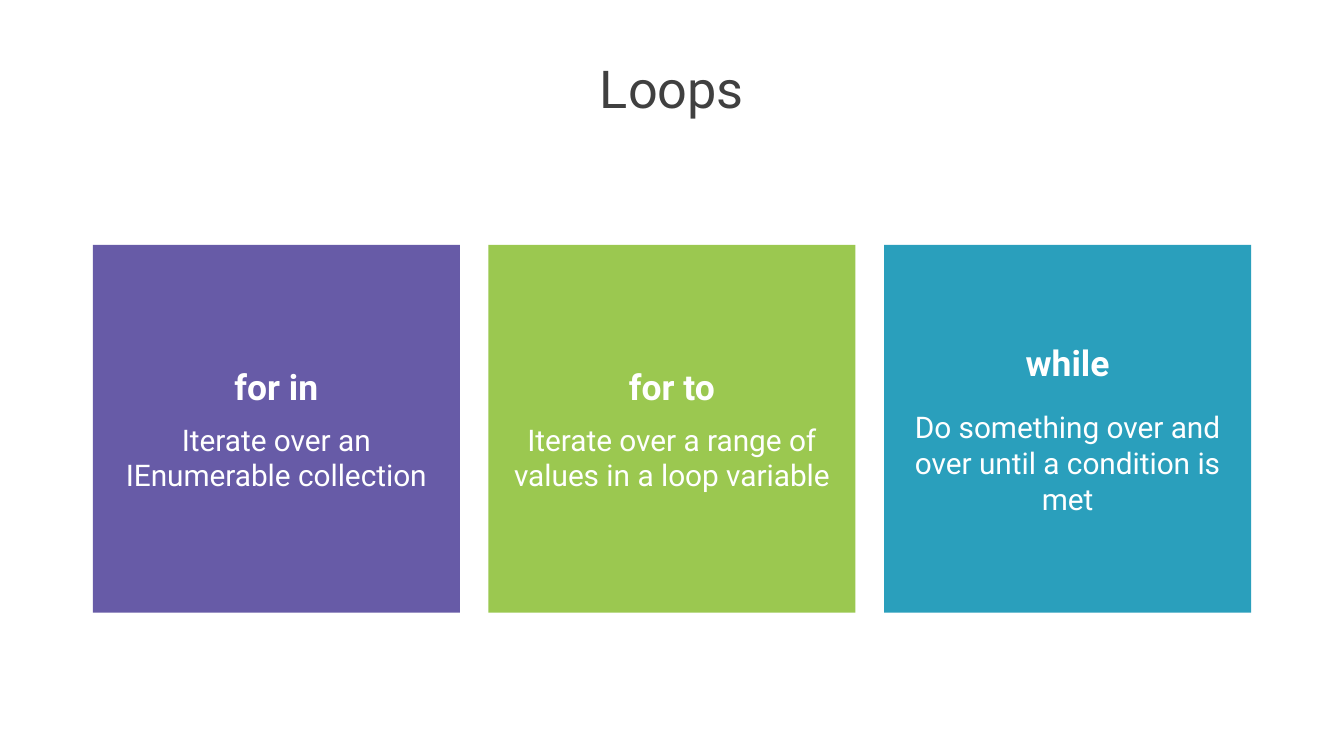
from pptx import Presentation
from pptx.dml.color import RGBColor as RGB
from pptx.enum.shapes import MSO_SHAPE as Shape
from pptx.enum.text import MSO_ANCHOR as Anchor, PP_ALIGN as Align
from pptx.util import Cm, Pt

TITLE = "Loops"
LOOPS = [
    ("for in", "Iterate over an IEnumerable collection", "purple", 10),
    ("for to", "Iterate over a range of values in a loop variable", "green", 10),
    ("while", "Do something over and over until a condition is met", "teal", 18),
]
THEME = {
    "font": "Roboto",
    "colors": {
        "purple": RGB.from_string("675BA7"),
        "green": RGB.from_string("9BC850"),
        "teal": RGB.from_string("2A9FBC"),
        "title": RGB.from_string("404040"),
        "white": RGB.from_string("FFFFFF"),
    },
    "sizes": {"title": 37.3, "heading": 25.3, "body": 21.3},
}

SLIDE_W, SLIDE_H = 33.87, 19.05
MARGIN = 2.34
CONTENT_W = SLIDE_W - 2 * MARGIN
TITLE_TOP, TITLE_H = 1.57, 1.5
CARD_TOP, CARD_W, CARD_H = 6.17, 9.25, 9.27
CARD_GAP = (CONTENT_W - len(LOOPS) * CARD_W) / (len(LOOPS) - 1)
CARD_INSET = 0.51


def prepare_frame(sp, inset):
    tf = sp.text_frame
    tf.word_wrap = True
    tf.vertical_anchor = Anchor.MIDDLE
    tf.margin_left = tf.margin_right = Cm(inset)
    tf.margin_top = tf.margin_bottom = Cm(inset)
    return tf


def write(p, text, size, color, bold=False):
    p.alignment = Align.CENTER
    r = p.add_run()
    r.text = text
    r.font.name = THEME["font"]
    r.font.size = Pt(THEME["sizes"][size])
    r.font.bold = bold
    r.font.color.rgb = THEME["colors"][color]


def add_title(slide):
    sp = slide.shapes.add_textbox(
        Cm(MARGIN), Cm(TITLE_TOP), Cm(CONTENT_W), Cm(TITLE_H))
    p = prepare_frame(sp, 0).paragraphs[0]
    p.line_spacing = 0.9
    write(p, TITLE, "title", "title")


def add_card(slide, index, heading, body, color, gap):
    left = MARGIN + index * (CARD_W + CARD_GAP)
    sp = slide.shapes.add_shape(
        Shape.RECTANGLE, Cm(left), Cm(CARD_TOP), Cm(CARD_W), Cm(CARD_H))
    sp.shadow.inherit = False
    sp.fill.solid()
    sp.fill.fore_color.rgb = THEME["colors"][color]
    sp.line.fill.background()
    tf = prepare_frame(sp, CARD_INSET)
    write(tf.paragraphs[0], heading, "heading", "white", bold=True)
    p = tf.add_paragraph()
    p.space_before = Pt(gap)
    write(p, body, "body", "white")


def main():
    prs = Presentation()
    prs.slide_width, prs.slide_height = Cm(SLIDE_W), Cm(SLIDE_H)
    slide = prs.slides.add_slide(prs.slide_layouts[6])
    add_title(slide)
    for index, loop in enumerate(LOOPS):
        add_card(slide, index, *loop)
    prs.save("out.pptx")


if __name__ == "__main__":
    main()
